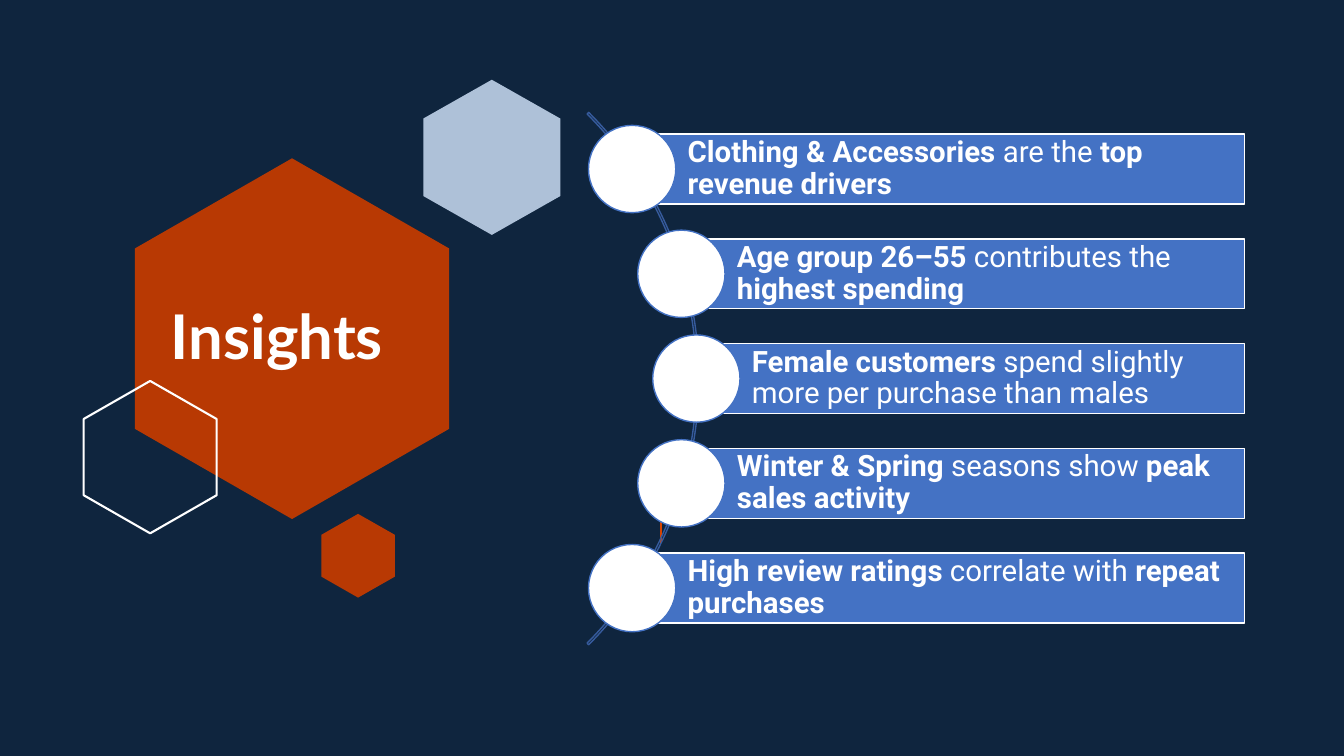
import math

import pptx
import pptx.dml.color
import pptx.enum.shapes
import pptx.enum.text
import pptx.oxml
import pptx.oxml.ns
import pptx.util
from pptx.util import Cm

NAVY, RUST, ORANGE = "0F253E", "B83903", "D84400"
PALE_BLUE, BLUE, DARK_BLUE, WHITE = "AEC1D8", "4472C4", "365B9D", "FFFFFF"
SHAPES = pptx.enum.shapes.MSO_SHAPE
ANCHORS = pptx.enum.text.MSO_ANCHOR

# Each insight is a list of (text, bold) runs.
INSIGHTS = [
    [("Clothing & Accessories", True), (" are the ", False), ("top revenue drivers", True)],
    [("Age group 26–55", True), (" contributes the ", False), ("highest spending", True)],
    [("Female customers", True), (" spend slightly more per purchase than males", False)],
    [("Winter & Spring", True), (" seasons show ", False), ("peak sales activity", True)],
    [("High review ratings", True), (" correlate with ", False), ("repeat purchases", True)],
]


def color(hex_string):
    return pptx.dml.color.RGBColor.from_string(hex_string)


def paint(shape, fill=None, line=None, line_width=1):
    """Set fill and outline; None leaves that part empty."""
    shape.shadow.inherit = False
    if fill:
        shape.fill.solid()
        shape.fill.fore_color.rgb = color(fill)
    else:
        shape.fill.background()
    if line:
        shape.line.color.rgb = color(line)
        shape.line.width = pptx.util.Pt(line_width)
    else:
        shape.line.fill.background()


def add_shape(slide, kind, left, top, width, height, **style):
    shape = slide.shapes.add_shape(kind, Cm(left), Cm(top), Cm(width), Cm(height))
    paint(shape, **style)
    return shape


def write_text(shape, runs, font, size, anchor, insets):
    """Fill a shape with one left-aligned paragraph of (text, bold) runs."""
    frame = shape.text_frame
    frame.word_wrap = True
    frame.vertical_anchor = anchor
    frame.margin_left, frame.margin_top, frame.margin_right, frame.margin_bottom = map(Cm, insets)
    paragraph = frame.paragraphs[0]
    paragraph.alignment = pptx.enum.text.PP_ALIGN.LEFT
    paragraph.line_spacing = 0.9
    for text, bold in runs:
        run = paragraph.add_run()
        run.text = text
        run.font.name = font
        run.font.size = pptx.util.Pt(size)
        run.font.bold = bold
        run.font.color.rgb = color(WHITE)


def add_hexagon(slide, left, top, width, height, **style):
    """Draw a hexagon standing on a corner, with upright sides half its height."""
    corners = [(0.5, 0), (1, 0.25), (1, 0.75), (0.5, 1), (0, 0.75), (0, 0.25)]
    points = [(Cm(left + x * width), Cm(top + y * height)) for x, y in corners]
    builder = slide.shapes.build_freeform(*points[0])
    builder.add_line_segments(points[1:], close=True)
    paint(builder.convert_to_shape(), **style)


def add_title_cluster(slide, left, top):
    add_hexagon(slide, left + 8.56, top, 3.45, 3.91, fill=PALE_BLUE)
    add_hexagon(slide, left + 1.29, top + 1.98, 7.92, 9.09, fill=RUST)
    add_hexagon(slide, left, top + 7.59, 3.35, 3.84, line=WHITE, line_width=1.5)
    add_hexagon(slide, left + 5.99, top + 10.94, 1.85, 2.11, fill=RUST)
    title = slide.shapes.add_textbox(Cm(left + 1.65), Cm(top + 4.72), Cm(7.04), Cm(2.79))
    write_text(title, [("Insights", True)], "Lato", 44, ANCHORS.BOTTOM, (0.55, 0.13, 0.25, 0.13))


def add_accent_line(slide, x, top, height):
    line = slide.shapes.add_connector(
        pptx.enum.shapes.MSO_CONNECTOR.STRAIGHT, Cm(x), Cm(top), Cm(x), Cm(top + height))
    line.line.color.rgb = color(ORANGE)
    line.line.width = pptx.util.Pt(1.5)
    properties = line._element.spPr
    properties.append(pptx.oxml.parse_xml(f"<a:effectLst {pptx.oxml.ns.nsdecls('a')}/>"))


def add_insight_list(slide, center_x, center_y, right, insights):
    """Place bars with round markers along an arc, ending at a common right edge."""
    arc_size, marker_radius, marker_size = 18.97, 9.42, 2.2
    bar_height, pitch = 1.76, 2.64
    arc = add_shape(slide, SHAPES.BLOCK_ARC, center_x - arc_size / 2, center_y - arc_size / 2,
                    arc_size, arc_size, line=DARK_BLUE)
    for index, value in enumerate((189, 27, 0.003)):
        arc.adjustments[index] = value
    for index, runs in enumerate(insights):
        offset = (index - (len(insights) - 1) / 2) * pitch
        x = center_x + math.sqrt(marker_radius ** 2 - offset ** 2)
        y = center_y + offset
        bar = add_shape(slide, SHAPES.RECTANGLE, x, y - bar_height / 2, right - x, bar_height,
                        fill=BLUE, line=WHITE)
        write_text(bar, runs, "Roboto", 21, ANCHORS.MIDDLE, (1.4, 0.15, 0.15, 0.15))
        add_shape(slide, SHAPES.OVAL, x - marker_size / 2, y - marker_size / 2,
                  marker_size, marker_size, fill=WHITE, line=BLUE)


def main():
    presentation = pptx.Presentation()
    presentation.slide_width, presentation.slide_height = Cm(33.87), Cm(19.05)
    slide = presentation.slides.add_slide(presentation.slide_layouts[6])
    slide.background.fill.solid()
    slide.background.fill.fore_color.rgb = color(NAVY)
    add_title_cluster(slide, left=2.11, top=2.01)
    add_accent_line(slide, x=16.66, top=11.58, height=2.11)
    add_insight_list(slide, center_x=8.13, center_y=9.54, right=31.37, insights=INSIGHTS)
    presentation.save("out.pptx")


if __name__ == "__main__":
    main()
